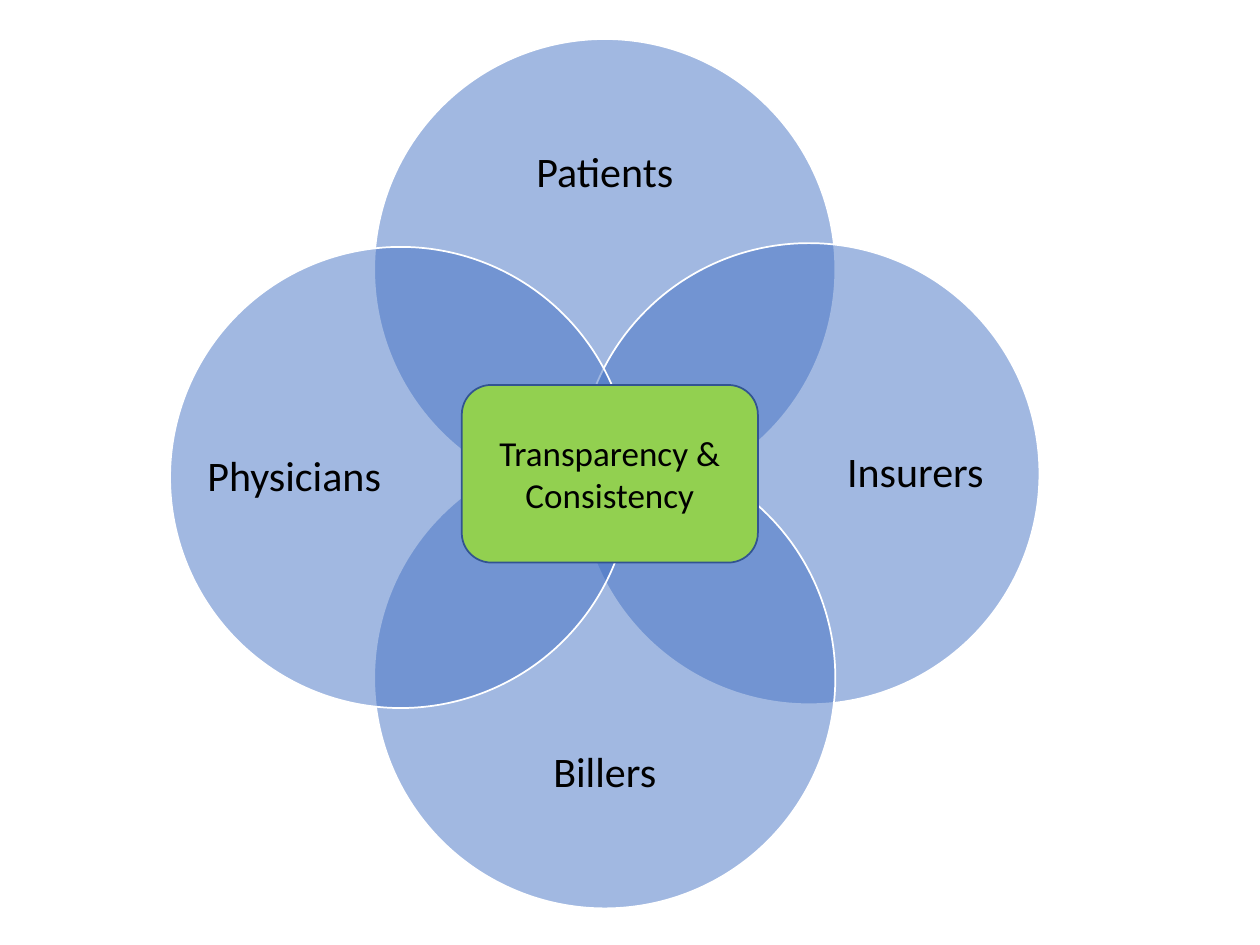
from lxml import etree
from pptx import Presentation
from pptx.dml.color import RGBColor
from pptx.enum.shapes import MSO_SHAPE
from pptx.enum.text import MSO_ANCHOR, PP_ALIGN
from pptx.oxml.ns import qn
from pptx.util import Inches, Pt

OVAL, ROUNDED = MSO_SHAPE.OVAL, MSO_SHAPE.ROUNDED_RECTANGLE
MIDDLE, CENTER = MSO_ANCHOR.MIDDLE, PP_ALIGN.CENTER

COLORS = {"circle": "4472C4", "rim": "FFFFFF", "core": "92D050",
          "core_rim": "325491", "text": "000000"}
FONT = "Calibri"
BLANK_LAYOUT = 6

DIAMETER = 3.66
REACH = 1.62             # from the middle of the diagram to a circle's centre
# Label size and its distance outward from the circle's centre
VERTICAL_LABEL = (2.82, 1.16, 0.76)
SIDE_LABEL = (1.41, 2.82, 0.845)

# Name, direction from the middle, downward nudge, label layout
CIRCLES = [
    ("Patients", (0, -1), 0, VERTICAL_LABEL),
    ("Insurers", (1, 0), 0, SIDE_LABEL),
    ("Billers", (0, 1), 0, VERTICAL_LABEL),
    ("Physicians", (-1, 0), 0.03, SIDE_LABEL),
]


def centered_box(x, y, width, height):
    return [Inches(v) for v in (x - width / 2, y - height / 2, width, height)]


def add_outlined(slide, preset, box, fill, line):
    shape = slide.shapes.add_shape(preset, *box)
    shape.shadow.inherit = False
    shape.fill.solid()
    shape.fill.fore_color.rgb = RGBColor.from_string(COLORS[fill])
    shape.line.color.rgb = RGBColor.from_string(COLORS[line])
    shape.line.width = Pt(1)
    return shape


def write_text(frame, text, size):
    frame.word_wrap = True
    frame.vertical_anchor = MIDDLE
    paragraph = frame.paragraphs[0]
    paragraph.text = text
    paragraph.alignment = CENTER
    paragraph.font.name = FONT
    paragraph.font.size = Pt(size)
    paragraph.font.color.rgb = RGBColor.from_string(COLORS["text"])
    return paragraph


def set_alpha(shape, percent):
    color = shape.fill._xPr.find(qn("a:solidFill"))[0]
    etree.SubElement(color, qn("a:alpha"), val=str(percent * 1000))


def add_venn(slide, middle_x, middle_y):
    for name, (dx, dy), nudge, (width, height, shift) in CIRCLES:
        x = middle_x + dx * REACH
        y = middle_y + dy * REACH + nudge

        # Translucent circle
        circle = add_outlined(slide, OVAL, centered_box(x, y, DIAMETER, DIAMETER),
                              "circle", "rim")
        set_alpha(circle, 50)

        # Label, pushed outward from the overlaps
        label = slide.shapes.add_textbox(
            *centered_box(x + dx * shift, y + dy * shift, width, height))
        frame = label.text_frame
        frame.margin_left = frame.margin_right = 0
        frame.margin_top = frame.margin_bottom = 0
        write_text(frame, name, 24).line_spacing = 0.9


def add_core(slide, x, y):
    core = add_outlined(slide, ROUNDED, centered_box(x, y, 2.35, 1.41),
                        "core", "core_rim")
    write_text(core.text_frame, "Transparency & Consistency", 20)


def main():
    prs = Presentation()
    prs.slide_width, prs.slide_height = Inches(10), Inches(7.5)
    slide = prs.slides.add_slide(prs.slide_layouts[BLANK_LAYOUT])
    add_venn(slide, 4.8, 3.76)
    add_core(slide, 4.84, 3.76)
    prs.save("out.pptx")


if __name__ == "__main__":
    main()
